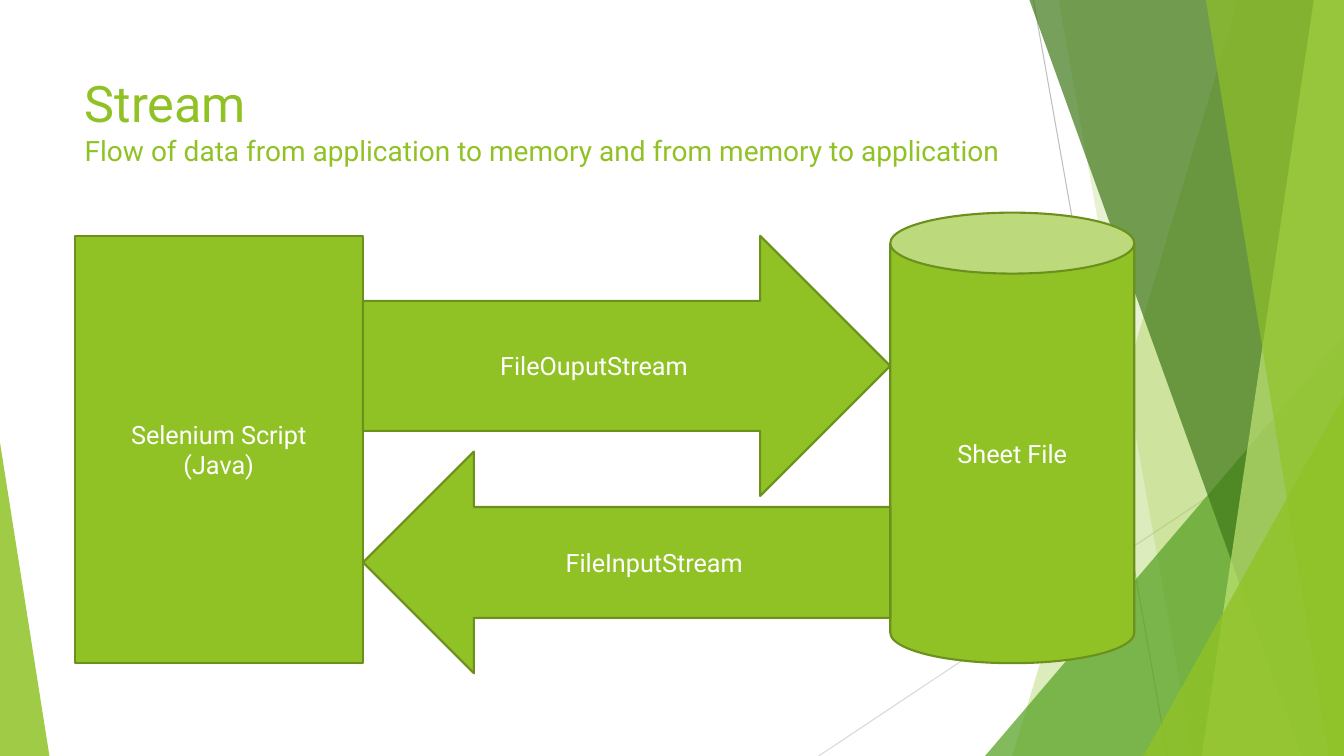
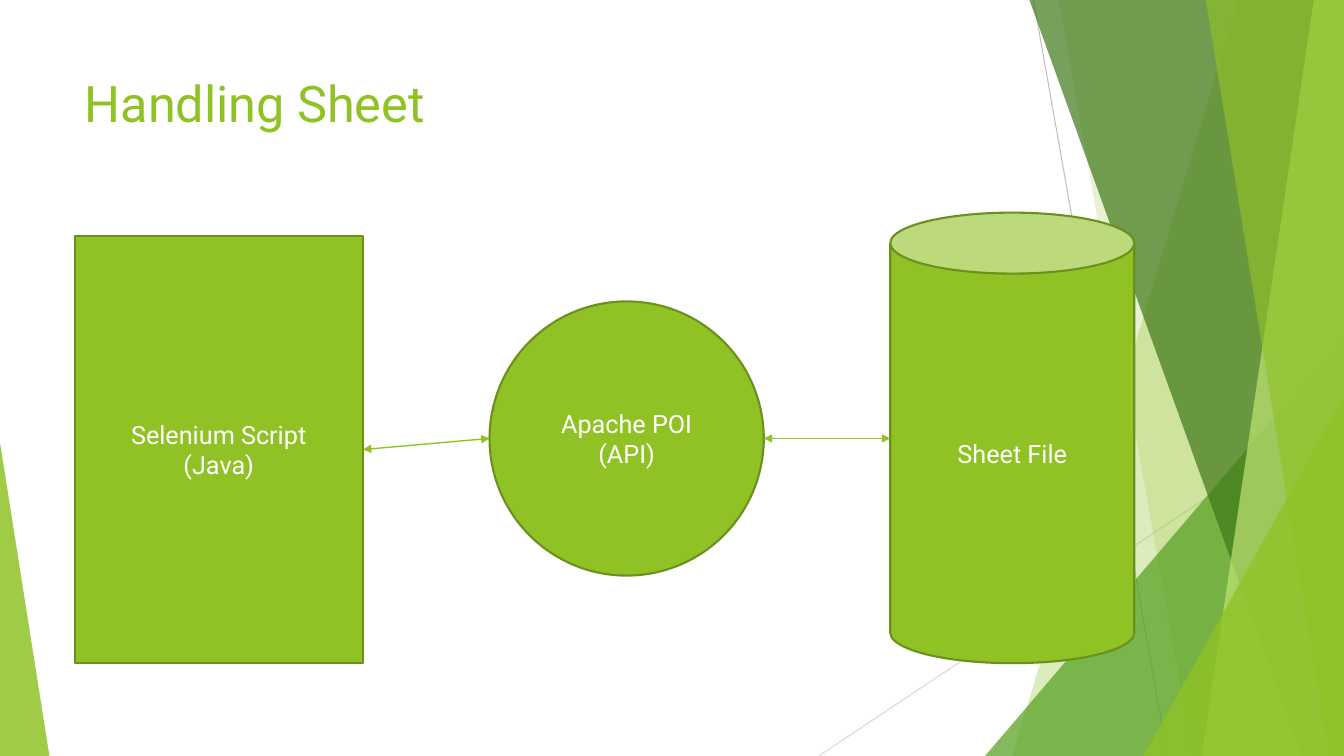
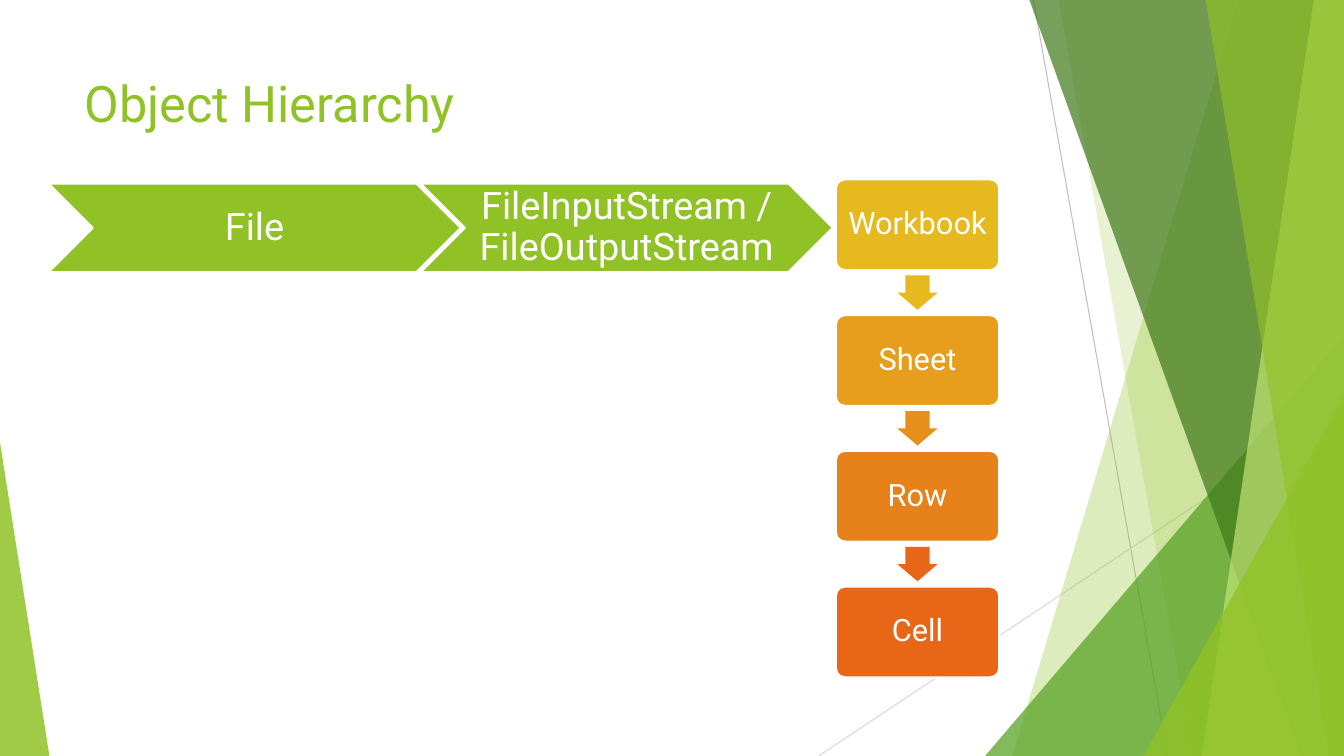
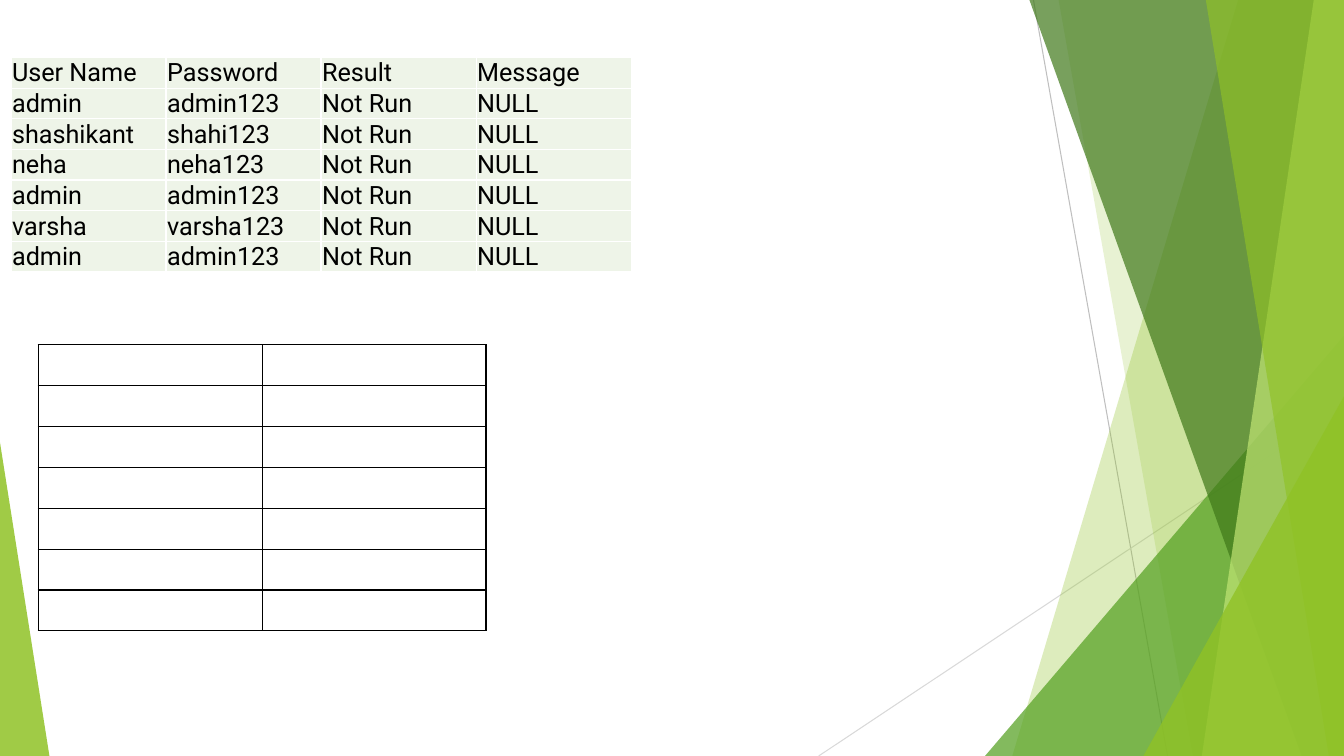
from lxml import etree
from pptx import Presentation
from pptx.dml.color import RGBColor
from pptx.enum.shapes import MSO_CONNECTOR, MSO_SHAPE
from pptx.enum.text import MSO_ANCHOR, MSO_AUTO_SIZE, PP_ALIGN
from pptx.oxml.ns import qn
from pptx.util import Inches, Pt

RECT, CAN, OVAL = MSO_SHAPE.RECTANGLE, MSO_SHAPE.CAN, MSO_SHAPE.OVAL
ROUNDED, CHEVRON = MSO_SHAPE.ROUNDED_RECTANGLE, MSO_SHAPE.CHEVRON
RIGHT_ARROW, LEFT_ARROW = MSO_SHAPE.RIGHT_ARROW, MSO_SHAPE.LEFT_ARROW
DOWN_ARROW, TRIANGLE = MSO_SHAPE.DOWN_ARROW, MSO_SHAPE.ISOSCELES_TRIANGLE
STRAIGHT = MSO_CONNECTOR.STRAIGHT
TOP, MIDDLE, BOTTOM = MSO_ANCHOR.TOP, MSO_ANCHOR.MIDDLE, MSO_ANCHOR.BOTTOM
LEFT, CENTER = PP_ALIGN.LEFT, PP_ALIGN.CENTER
NO_FIT = MSO_AUTO_SIZE.NONE

W, H = 13.33, 7.5
FONT = "Roboto"
GREEN, DARK_GREEN, WHITE, BLACK = "90C226", "6B901C", "FFFFFF", "000000"
TITLE_BOX = (0.74, 0.67, 9.4, 1.44)
DIAGRAM_BOX = (0.74, 2.11, 10.51, 4.57)
SCRIPT_W, FILE_W = 2.86, 2.42
SCRIPT_TEXT = ["Selenium Script", "(Java)"]
FILE_TEXT = ["Sheet File"]


def rgb(color):
    return RGBColor.from_string(color)


def inches(values):
    return [Inches(v) for v in values]


def format_font(r, size, color):
    for name, value in {"name": FONT, "size": Pt(size)}.items():
        setattr(r.font, name, value)
    r.font.color.rgb = rgb(color)


def write(tf, lines, color=WHITE, align=CENTER, spacing=None):
    for i, (text, size) in enumerate(lines):
        p = tf.paragraphs[0] if i == 0 else tf.add_paragraph()
        p.alignment = align
        p.line_spacing = spacing
        r = p.add_run()
        r.text = text
        format_font(r, size, color)


def paint(sp, fill, line=None, alpha=None):
    sp.shadow.inherit = False
    sp.fill.solid()
    sp.fill.fore_color.rgb = rgb(fill)
    if alpha is not None:
        clr = sp.element.xpath("./p:spPr/a:solidFill/a:srgbClr")[0]
        etree.SubElement(clr, qn("a:alpha")).set("val", str(alpha * 1000))
    if line:
        sp.line.color.rgb = rgb(line)
        sp.line.width = Pt(1.5)
    else:
        sp.line.fill.background()


def add_node(s, kind, box, lines, fill=GREEN, line=DARK_GREEN, size=18,
             margin=None, spacing=None):
    sp = s.shapes.add_shape(kind, *inches(box))
    paint(sp, fill, line)
    tf = sp.text_frame
    tf.word_wrap = True
    tf.vertical_anchor = MIDDLE
    if margin is not None:
        tf.margin_left = tf.margin_right = Inches(margin)
        tf.margin_top = tf.margin_bottom = Inches(0.04)
    write(tf, [(text, size) for text in lines], spacing=spacing)
    return sp


def add_line(shapes, start, end, color, width, arrows=False):
    cxn = shapes.add_connector(STRAIGHT, *inches(start + end))
    cxn.line.color.rgb = rgb(color)
    cxn.line.width = Pt(width)
    if arrows:
        ln = cxn.element.xpath("./p:spPr/a:ln")[0]
        for tag in ("a:headEnd", "a:tailEnd"):
            etree.SubElement(ln, qn(tag)).set("type", "triangle")
    etree.SubElement(cxn.element.spPr, qn("a:effectLst"))
    return cxn


def add_band(shapes, color, alpha, top_x, bottom_x):
    fb = shapes.build_freeform(Inches(top_x), 0)
    corners = [(W, 0), (W, H), (bottom_x, H)]
    fb.add_line_segments([inches(c) for c in corners], close=True)
    paint(fb.convert_to_shape(), color, alpha=alpha)


def add_wedge(shapes, color, alpha, left, top, width, apex):
    sp = shapes.add_shape(TRIANGLE, *inches((left, top, width, H - top)))
    sp.adjustments[0] = apex
    paint(sp, color, alpha=alpha)


def decorate_master(prs, s):
    grp = s.shapes.add_group_shape()
    shapes = grp.shapes
    add_line(shapes, (10.25, 0), (11.58, H), "BFBFBF", 0.75)
    add_line(shapes, (W, 4.03), (8.12, H), "D9D9D9", 0.75)
    add_band(shapes, GREEN, 30, 12.28, 10.04)
    add_band(shapes, GREEN, 20, 10.5, 11.83)
    add_wedge(shapes, "54A021", 72, 9.77, 3.33, W - 9.77, 1)
    add_band(shapes, "3F7819", 70, 10.21, 12.91)
    add_band(shapes, "C0E474", 70, 13.03, 11.92)
    add_band(shapes, GREEN, 65, 11.96, 13.18)
    add_wedge(shapes, GREEN, 80, 11.34, 3.93, W - 11.34, 1)
    add_wedge(shapes, GREEN, 85, 0, 4.39, 0.49, 0)
    for i, props in enumerate(grp.element.xpath(".//p:cNvPr")):
        props.set("id", str(100 + i))
    prs.slide_master.shapes.element.insert(2, grp.element)


def set_title(s, lines):
    sp = s.shapes.title
    sp.left, sp.top, sp.width, sp.height = inches(TITLE_BOX)
    tf = sp.text_frame
    for name, value in {"word_wrap": True, "auto_size": NO_FIT,
                        "vertical_anchor": TOP}.items():
        setattr(tf, name, value)
    write(tf, lines, GREEN, LEFT)


def add_endpoints(s, box):
    x, y, w, h = box
    script = add_node(s, RECT, (x, y + 0.23, SCRIPT_W, 4.24), SCRIPT_TEXT)
    add_node(s, CAN, (x + w - FILE_W, y, FILE_W, 4.47), FILE_TEXT)
    return script, x + SCRIPT_W, w - SCRIPT_W - FILE_W


def stream_diagram(s, box):
    y = box[1]
    _, x, w = add_endpoints(s, box)
    add_node(s, RIGHT_ARROW, (x, y + 0.23, w, 2.58), ["FileOuputStream"])
    add_node(s, LEFT_ARROW, (x, y + 2.37, w, 2.2), ["FileInputStream"])


def api_diagram(s, box):
    script, x, w = add_endpoints(s, box)
    d = 2.72
    left, top = x + (w - d) / 2, box[1] + 0.88
    mid = top + d / 2
    add_node(s, OVAL, (left, top, d, d), ["Apache POI", "(API)"])
    add_line(s.shapes, (left + d, mid), (x + w, mid), GREEN, 1, True)
    cxn = add_line(s.shapes, (left, mid), (x, mid), GREEN, 1, True)
    cxn.end_connect(script, 3)


def chevron_row(s, box, labels):
    x, y, w, h = box
    pitch = 3.69
    for i, label in enumerate(labels):
        add_node(s, CHEVRON, (x + i * pitch, y, w - pitch * (len(labels) - 1), h),
                 [label], line=WHITE, size=27, margin=0.08, spacing=0.9)


def hierarchy_column(s, box, levels, arrow_colors):
    x, y, w, h = box
    node_h, arrow_w, arrow_h = 0.9, 0.4, 0.34
    pitch = (h - node_h) / (len(levels) - 1)
    for i, (label, color) in enumerate(levels):
        add_node(s, ROUNDED, (x, y + i * pitch, w, node_h), [label], color,
                 WHITE, 22, 0.05, 0.9).adjustments[0] = 0.1
    for i, color in enumerate(arrow_colors):
        top = y + i * pitch + (node_h + pitch - arrow_h) / 2
        sp = s.shapes.add_shape(
            DOWN_ARROW, *inches((x + (w - arrow_w) / 2, top, arrow_w, arrow_h)))
        sp.adjustments[0], sp.adjustments[1] = 0.6, 0.5
        paint(sp, color)


def set_borders(cell, color):
    tc_pr = cell._tc.get_or_add_tcPr()
    for i, tag in enumerate(("a:lnL", "a:lnR", "a:lnT", "a:lnB")):
        ln = etree.Element(qn(tag), w=str(Pt(1)))
        fill = etree.SubElement(ln, qn("a:solidFill"))
        etree.SubElement(fill, qn("a:srgbClr")).set("val", color)
        tc_pr.insert(i, ln)


def add_grid(s, box, rows, border, fill=None):
    table = s.shapes.add_table(len(rows), len(rows[0]), *inches(box)).table
    table.first_row = table.horz_banding = False
    for i, row in enumerate(rows):
        for j, text in enumerate(row):
            cell = table.cell(i, j)
            if fill:
                cell.fill.solid()
                cell.fill.fore_color.rgb = rgb(fill)
            else:
                cell.fill.background()
            set_borders(cell, border)
            if text:
                cell.vertical_anchor = BOTTOM
                cell.margin_left = cell.margin_right = Inches(0.01)
                cell.margin_top, cell.margin_bottom = Inches(0.01), 0
                write(cell.text_frame, [(text, 18)], BLACK, LEFT)


def main():
    prs = Presentation()
    prs.slide_width, prs.slide_height = inches((W, H))
    title_only, blank = prs.slide_layouts[5], prs.slide_layouts[6]

    s = prs.slides.add_slide(title_only)
    decorate_master(prs, s)
    set_title(s, [("Stream", 36),
                  ("Flow of data from application to memory "
                   "and from memory to application", 20)])
    stream_diagram(s, DIAGRAM_BOX)

    s = prs.slides.add_slide(title_only)
    set_title(s, [("Handling Sheet", 36)])
    api_diagram(s, DIAGRAM_BOX)

    s = prs.slides.add_slide(title_only)
    set_title(s, [("Object Hierarchy", 36)])
    hierarchy_column(s, (8.29, 1.78, 1.62, 4.94),
                     [("Workbook", "E6B91E"), ("Sheet", "E69E1C"),
                      ("Row", "E7821A"), ("Cell", "E76618")],
                     ["E6B91E", "E6901B", "E76618"])
    chevron_row(s, (0.48, 1.82, 7.78, 0.88),
                ["File", "FileInputStream / FileOutputStream"])

    s = prs.slides.add_slide(blank)
    users = [("admin", "admin123"), ("shashikant", "shahi123"),
             ("neha", "neha123"), ("admin", "admin123"),
             ("varsha", "varsha123"), ("admin", "admin123")]
    rows = [("User Name", "Password", "Result", "Message")]
    rows += [user + ("Not Run", "NULL") for user in users]
    add_grid(s, (0.11, 0.57, 6.15, 2.13), rows, WHITE, "EEF4E8")
    add_grid(s, (0.38, 3.42, 4.44, 2.84), [("", "")] * 7, BLACK)

    prs.save("out.pptx")


if __name__ == "__main__":
    main()
